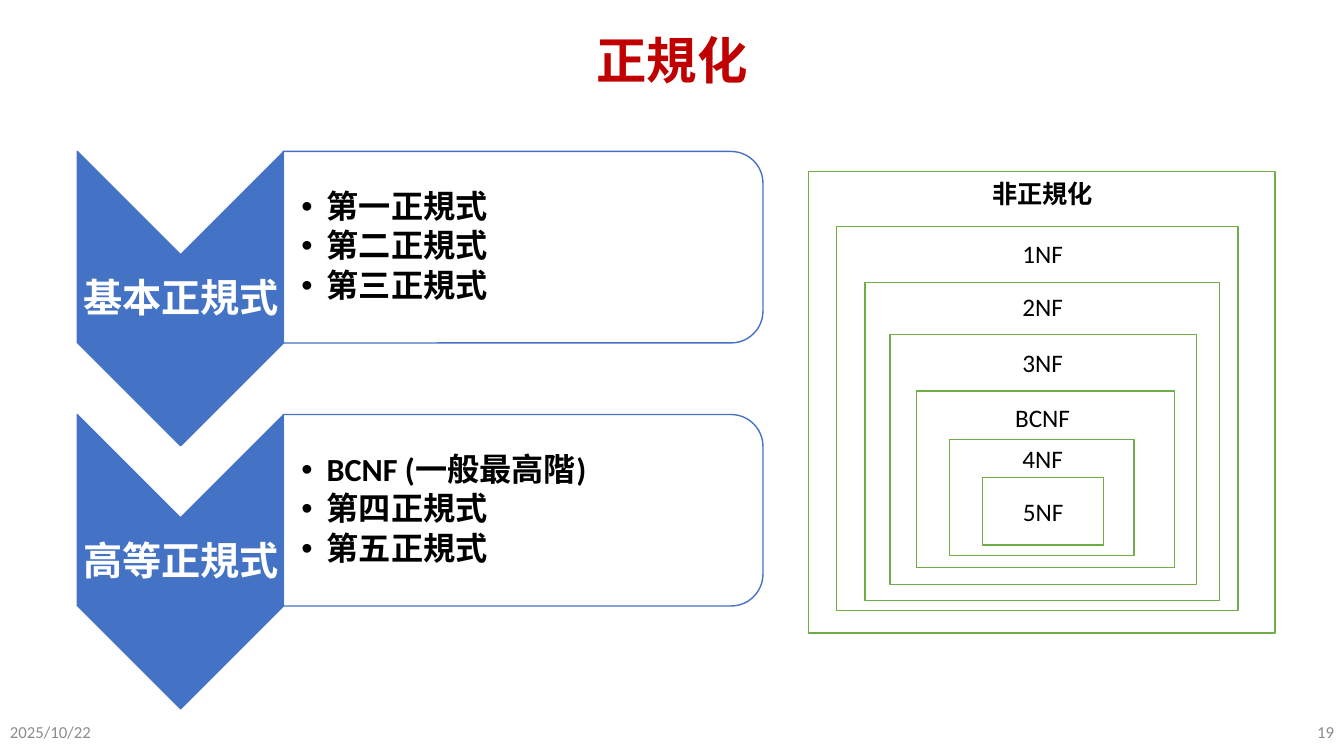
import dataclasses

import pptx
import pptx.dml.color
import pptx.enum.shapes
import pptx.enum.text
import pptx.oxml
import pptx.oxml.ns
import pptx.util

Pt = pptx.util.Pt
RGBColor = pptx.dml.color.RGBColor
Kind = pptx.enum.shapes.MSO_SHAPE
Align = pptx.enum.text.PP_ALIGN
Anchor = pptx.enum.text.MSO_ANCHOR

RED = RGBColor(0xC0, 0x00, 0x00)
BLUE = RGBColor(0x44, 0x72, 0xC4)
GREEN = RGBColor(0x70, 0xAD, 0x47)
GRAY = RGBColor(0x8C, 0x8C, 0x8C)
BLACK = RGBColor(0x00, 0x00, 0x00)
WHITE = RGBColor(0xFF, 0xFF, 0xFF)


@dataclasses.dataclass
class Box:
    left: float
    top: float
    width: float
    height: float

    def turned(self) -> "Box":
        """Unrotated box that fills this one after a quarter turn."""
        shift = (self.width - self.height) / 2
        return Box(self.left + shift, self.top - shift, self.height, self.width)

    def points(self) -> list:
        return [Pt(n) for n in dataclasses.astuple(self)]


@dataclasses.dataclass
class Group:
    label: str
    forms: list[str]


@dataclasses.dataclass
class Frame:
    box: Box
    label: str
    top: float
    font: str = "Calibri"
    bold: bool = False


GROUPS = [
    Group("基本正規式", ["第一正規式", "第二正規式", "第三正規式"]),
    Group("高等正規式", ["BCNF (一般最高階)", "第四正規式", "第五正規式"]),
]
PITCH = 187.9

FRAMES = [
    Frame(Box(577.4, 122.4, 333.4, 329.8), "非正規化", 123.8, "Noto Sans CJK SC", True),
    Frame(Box(597.6, 162, 286.6, 274.3), "1NF", 167),
    Frame(Box(617.8, 201.6, 253.4, 227.5), "2NF", 204.5),
    Frame(Box(635.8, 239, 218.9, 178.6), "3NF", 244.8),
    Frame(Box(654.5, 279.4, 184.3, 126), "BCNF", 283.7),
    Frame(Box(678.2, 313.9, 131.8, 82.8), "4NF", 313.2),
]
CORE = Box(702, 341.3, 86.4, 48.2)
MIDDLE = 744


def write(shape, *lines: str, size: float = 18, color: RGBColor = BLACK,
          font: str = "Calibri", bold: bool = False, align=Align.CENTER,
          inset: tuple = (7.2, 3.6, 7.2, 3.6), wrap: bool = True,
          spacing: float = 1, after: float = 0, bullet: bool = False) -> None:
    frame = shape.text_frame
    frame.word_wrap = wrap
    frame.vertical_anchor = Anchor.MIDDLE
    (frame.margin_left, frame.margin_top,
     frame.margin_right, frame.margin_bottom) = [Pt(n) for n in inset]
    for i, line in enumerate(lines):
        para = frame.add_paragraph() if i else frame.paragraphs[0]
        para.alignment = align
        para.line_spacing = spacing
        para.space_after = Pt(after)
        if bullet:
            props = para._p.get_or_add_pPr()
            props.set("marL", str(Pt(18)))
            props.set("indent", str(-Pt(18)))
            add(props, "a:buFont", typeface="Arial")
            add(props, "a:buChar", char="•")
        run = para.add_run()
        run.text = line
        run.font.name = font
        run.font.size = Pt(size)
        run.font.bold = bold
        run.font.color.rgb = color


def add(parent, tag: str, **values: str) -> None:
    node = pptx.oxml.parse_xml(f"<{tag} {pptx.oxml.ns.nsdecls('a')}/>")
    for key, value in values.items():
        node.set(key, value)
    parent.append(node)


def draw(slide, kind, box: Box, fill: RGBColor, line: RGBColor, turn: bool = False):
    place = box.turned() if turn else box
    shape = slide.shapes.add_shape(kind, *place.points())
    shape.rotation = 90 if turn else 0
    shape.shadow.inherit = False
    shape.fill.solid()
    shape.fill.fore_color.rgb = fill
    shape.line.color.rgb = line
    shape.line.width = Pt(1)
    return shape


def text(slide, box: Box, *lines: str, **style) -> None:
    write(slide.shapes.add_textbox(*box.points()), *lines, **style)


def band(slide, group: Group, down: float) -> None:
    # Arrow with its label
    draw(slide, Kind.CHEVRON, Box(55.2, 108.2 + down, 147.6, 210.2), BLUE, BLUE, turn=True)
    text(slide, Box(55.4, 182.2 + down, 147.6, 63.4), group.label, size=28,
         color=WHITE, bold=True, inset=(1.4,) * 4, spacing=0.9, after=9.8)
    # Panel with its list
    panel = draw(slide, Kind.ROUND_2_SAME_RECTANGLE,
                 Box(202.3, 108.2 + down, 342.7, 136.8), WHITE, BLUE, turn=True)
    tint = panel._element.spPr.find(pptx.oxml.ns.qn("a:solidFill"))[0]
    add(tint, "a:alpha", val="90000")
    text(slide, Box(202.3, 115.2 + down, 336.2, 123.1), *group.forms, size=23,
         bold=True, align=Align.LEFT, inset=(13, 1.4, 1.4, 1.4), spacing=0.9,
         after=3.45, bullet=True)


def main() -> None:
    deck = pptx.Presentation()
    deck.slide_width, deck.slide_height = Pt(960), Pt(540)
    slide = deck.slides.add_slide(deck.slide_layouts[6])

    # Title
    text(slide, Box(66, 9.4, 828, 72), "正規化", size=36, color=RED, bold=True, spacing=0.9)

    # Two groups of normal forms
    for i, group in enumerate(GROUPS):
        band(slide, group, i * PITCH)

    # Footer
    text(slide, Box(0, 508.3, 216, 28.8), "2025/10/22", size=12, color=GRAY, align=Align.LEFT)
    text(slide, Box(744, 508.3, 216, 28.8), "19", size=12, color=GRAY, align=Align.RIGHT)

    # Nested frames
    for item in FRAMES:
        draw(slide, Kind.RECTANGLE, item.box, WHITE, GREEN)
    write(draw(slide, Kind.RECTANGLE, CORE, WHITE, GREEN), "5NF")
    for item in FRAMES:
        width = 87.1 if item.bold else 54
        text(slide, Box(MIDDLE + 0.7 - width / 2, item.top, width, 28.8), item.label,
             font=item.font, bold=item.bold, wrap=False)

    deck.save("out.pptx")


if __name__ == "__main__":
    main()
